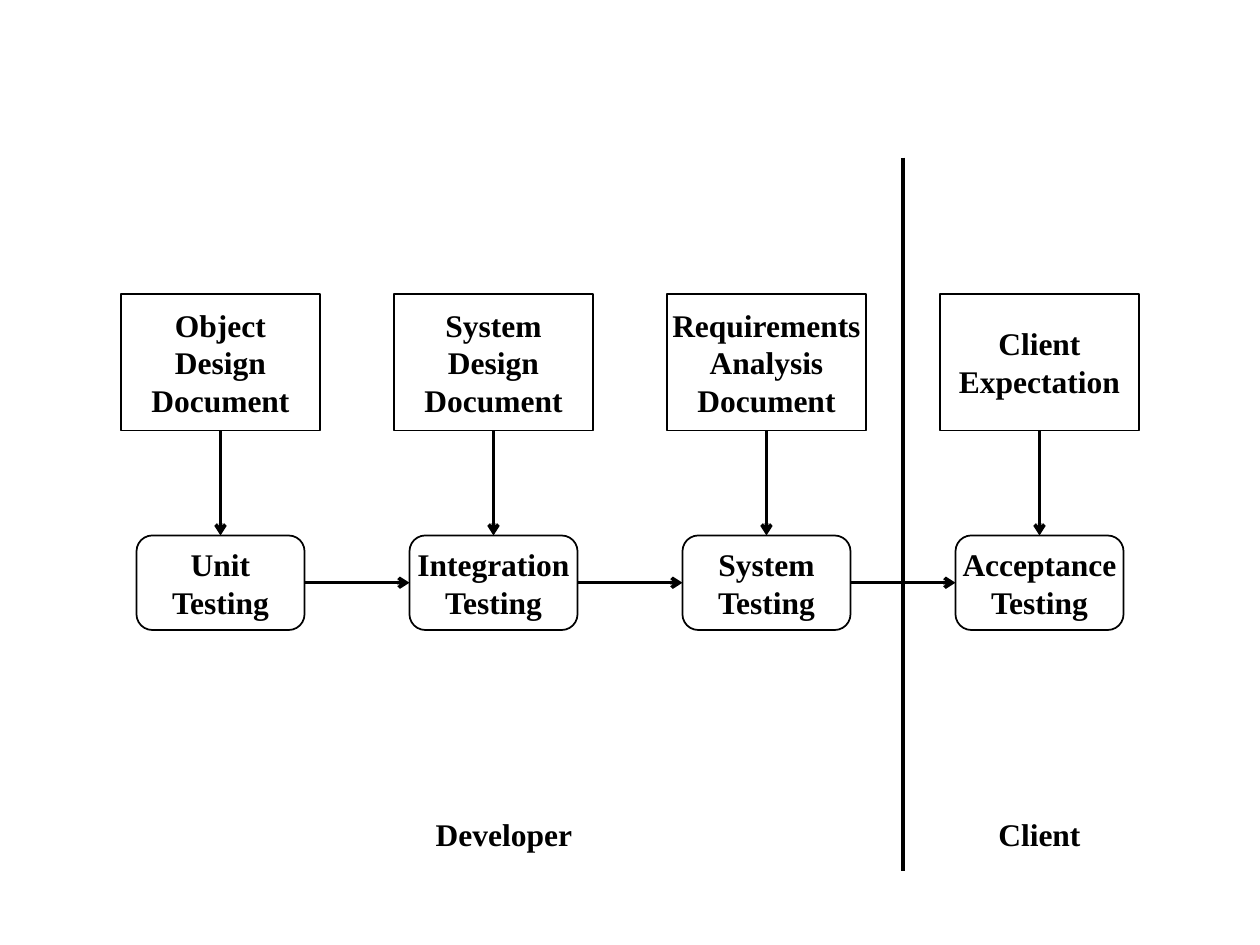
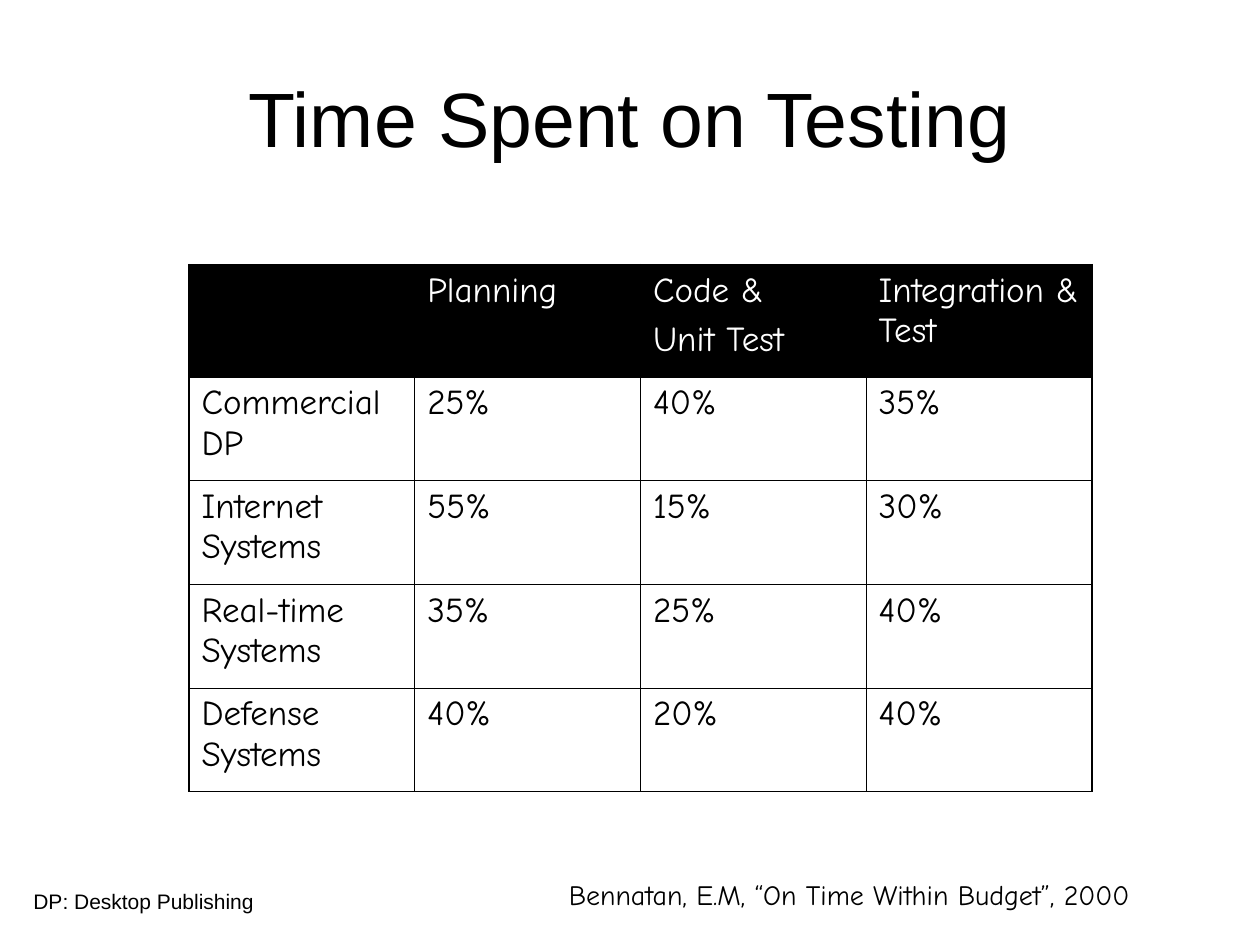
from collections import namedtuple

from lxml import etree
from pptx import Presentation
from pptx import util as u
from pptx.dml.color import RGBColor
from pptx.enum import shapes, text
from pptx.oxml import ns

BLACK = RGBColor(0x00, 0x00, 0x00)
WHITE = RGBColor(0xFF, 0xFF, 0xFF)
SERIF, SANS, HAND = "Times New Roman", "Arial", "Comic Neue"
CELL = u.Inches(1) / 12  # the slide is a grid of 120 columns and 90 rows
TOP, LEFT, BOTTOM, RIGHT = range(4)  # connection sites of a box

Box = namedtuple("Box", "left top width height")

# \v breaks a line, \n starts a paragraph
STAGES = [
    ("Object\vDesign\nDocument", "Unit\vTesting"),
    ("System\vDesign\nDocument", "Integration\vTesting"),
    ("Requirements\vAnalysis\nDocument", "System\vTesting"),
    ("Client\nExpectation", "Acceptance\vTesting"),
]
TIME_SHARES = [
    ["", "Planning", "Code &\nUnit Test", "Integration & Test"],
    ["Commercial DP", "25%", "40%", "35%"],
    ["Internet Systems", "55%", "15%", "30%"],
    ["Real-time Systems", "35%", "25%", "40%"],
    ["Defense Systems", "40%", "20%", "40%"],
]


def grid(*cells):
    return [u.Emu(round(n * CELL)) for n in cells]


def write(frame, content, font=SERIF, size=18, bold=False, color=BLACK,
          align=text.PP_ALIGN.LEFT, anchor=text.MSO_ANCHOR.TOP, before=0, wrap=True):
    frame.text = content
    frame.word_wrap = wrap
    frame.vertical_anchor = anchor
    for paragraph in frame.paragraphs:
        paragraph.alignment = align
        paragraph.space_before = u.Pt(before)
        for run in paragraph.runs:
            run.font.name, run.font.size, run.font.bold = font, u.Pt(size), bold
            run.font.color.rgb = color


def write_label(frame, content, **formats):
    write(frame, content, bold=True, align=text.PP_ALIGN.CENTER,
          anchor=text.MSO_ANCHOR.MIDDLE, **formats)


def add_text(slide, box, content, **formats):
    frame = slide.shapes.add_textbox(*grid(*box)).text_frame
    write(frame, content, **formats)


def add_step(slide, kind, box, content):
    step = slide.shapes.add_shape(kind, *grid(*box))
    step.shadow.inherit = False
    step.fill.solid()
    step.fill.fore_color.rgb = WHITE
    step.line.color.rgb = BLACK
    step.line.width = u.Pt(1)
    write_label(step.text_frame, content, wrap=False)
    return step


def add_line(slide, ends=(0, 0, 0, 0), arrow=False):
    line = slide.shapes.add_connector(shapes.MSO_CONNECTOR.STRAIGHT, *grid(*ends))
    line.line.color.rgb = BLACK
    line.line.width = u.Pt(2)
    properties = line._element.spPr
    if arrow:
        outline = properties.find(ns.qn("a:ln"))
        etree.SubElement(outline, ns.qn("a:tailEnd"), type="arrow")
    etree.SubElement(properties, ns.qn("a:effectLst"))
    return line


def join(slide, source, source_site, target, target_site):
    arrow = add_line(slide, arrow=True)
    arrow.begin_connect(source, source_site)
    arrow.end_connect(target, target_site)


def add_test_flow(slide, box):
    """Place a document above its test for each stage and chain the tests."""
    pitch = 26
    document_width, document_height = 19, 13
    test_width, test_height = 16, 9
    previous = None
    for index, (document_name, test_name) in enumerate(STAGES):
        center = box.left + document_width / 2 + index * pitch
        document = add_step(
            slide, shapes.MSO_SHAPE.RECTANGLE,
            Box(center - document_width / 2, box.top, document_width, document_height),
            document_name)
        test = add_step(
            slide, shapes.MSO_SHAPE.ROUNDED_RECTANGLE,
            Box(center - test_width / 2, box.top + box.height - test_height,
                test_width, test_height),
            test_name)
        join(slide, document, BOTTOM, test, TOP)
        if previous:
            join(slide, previous, RIGHT, test, LEFT)
        previous = test


def add_responsibilities(slide, box, divider):
    """Split the box by a vertical line and name who is in charge on each side."""
    bottom = box.top + box.height
    add_line(slide, (divider, box.top, divider, bottom))
    for name, left in (("Developer", box.left), ("Client", divider + 4)):
        label = slide.shapes.add_textbox(*grid(left, bottom - 6, 18, 4.8))
        write_label(label.text_frame, name)


def set_borders(cell, edges):
    properties = cell._tc.get_or_add_tcPr()
    for side, outer in edges.items():
        width = u.Pt(1.08 if outer else 0.45)
        border = etree.SubElement(properties, ns.qn("a:ln" + side), w=str(width))
        fill = etree.SubElement(border, ns.qn("a:solidFill"))
        etree.SubElement(fill, ns.qn("a:srgbClr"), val=str(BLACK))


def add_time_table(slide, box, header_height):
    last_row, last_column = len(TIME_SHARES) - 1, len(TIME_SHARES[0]) - 1
    table = slide.shapes.add_table(last_row + 1, last_column + 1, *grid(*box)).table
    table.first_row = table.horz_banding = False
    body_height = (box.height - header_height) / last_row
    for r, values in enumerate(TIME_SHARES):
        header = r == 0
        table.rows[r].height = grid(header_height if header else body_height)[0]
        for c, value in enumerate(values):
            cell = table.cell(r, c)
            set_borders(cell, {"L": c == 0, "R": c == last_column,
                               "T": header, "B": r == last_row})
            cell.fill.solid()
            cell.fill.fore_color.rgb = BLACK if header else WHITE
            write(cell.text_frame, value, font=HAND, size=20, before=5,
                  color=WHITE if header else BLACK)


def build_flow_slide(slide):
    add_test_flow(slide, Box(11.5, 28, 97, 32))
    add_responsibilities(slide, Box(39, 15, 69, 68), divider=86)


def build_time_slide(slide):
    add_text(slide, Box(6, 3.6, 108, 15), "Time Spent on Testing", font=SANS, size=44,
             align=text.PP_ALIGN.CENTER, anchor=text.MSO_ANCHOR.MIDDLE)
    add_time_table(slide, Box(18, 25.2, 86, 50.2), header_height=10.7)
    add_text(slide, Box(53, 83, 63, 4.4), "Bennatan, E.M, “On Time Within Budget”, 2000",
             font=HAND, size=16, before=10)
    add_text(slide, Box(2, 84, 23.4, 3.6), "DP: Desktop Publishing",
             font=SANS, size=12, wrap=False)


def main():
    deck = Presentation()
    deck.slide_width, deck.slide_height = grid(120, 90)
    blank = deck.slide_layouts[6]
    for build in (build_flow_slide, build_time_slide):
        build(deck.slides.add_slide(blank))
    deck.save("out.pptx")


if __name__ == "__main__":
    main()
